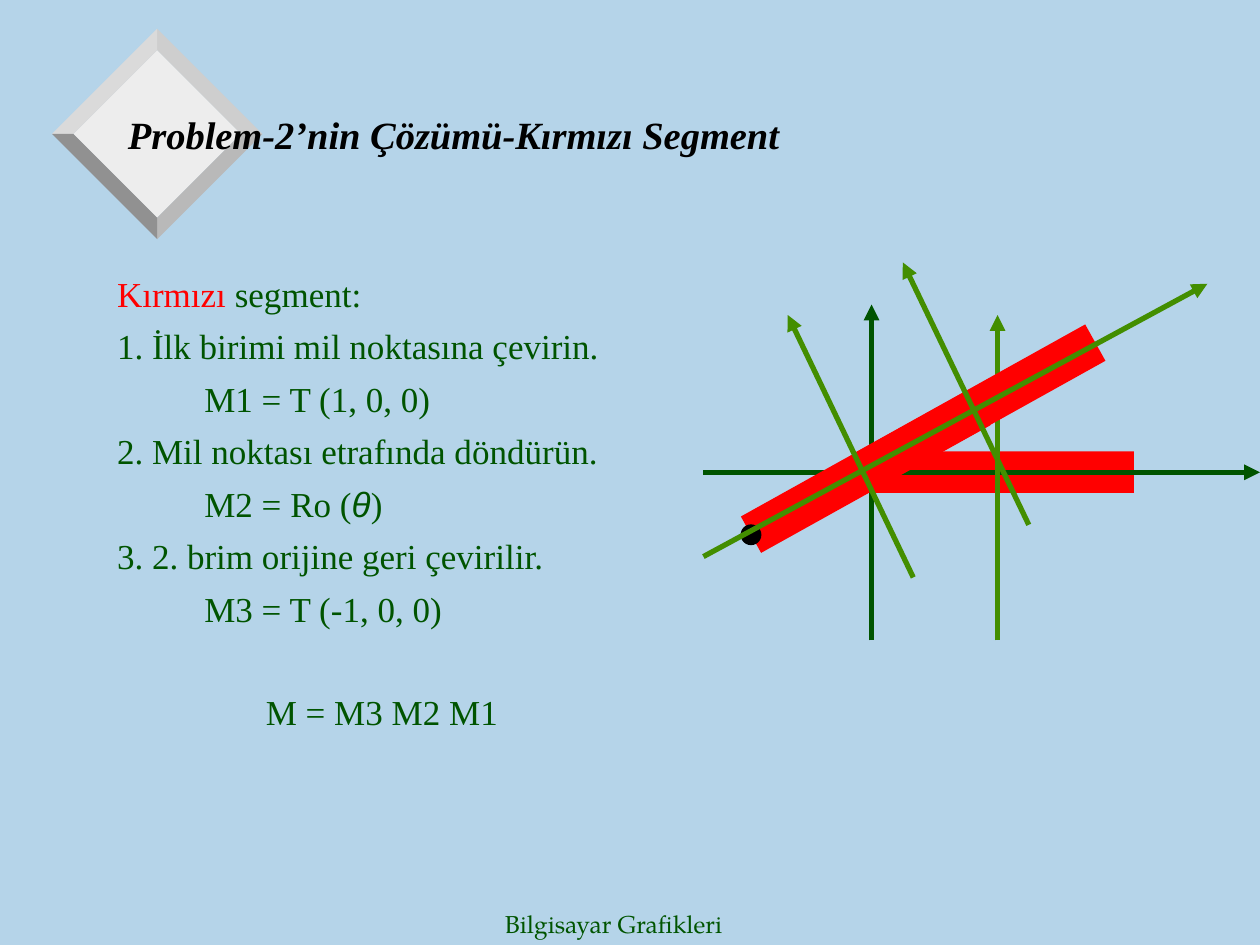
from dataclasses import dataclass
from math import cos, radians, sin
from typing import Optional

from lxml.etree import SubElement
from pptx import Presentation
from pptx.dml.color import RGBColor
from pptx.enum.shapes import MSO_CONNECTOR, MSO_SHAPE
from pptx.enum.text import MSO_ANCHOR
from pptx.oxml.ns import qn
from pptx.util import Cm, Pt

COLORS = {
    "background": "B5D4E9",
    "text": "005400",
    "title": "000000",
    "red": "FF0000",
    "dark_axis": "005400",
    "light_axis": "438E00",
    "black": "000000",
    "face": "EDEDED",
    "upper_right": "CECECE",
    "upper_left": "DADADA",
    "lower_right": "B9B9B9",
    "lower_left": "919191",
}
SERIF = "Times New Roman"


@dataclass
class Segment:
    hinge: tuple[float, float]
    angle: float
    pin_fill: str
    pin_line: Optional[str] = "black"


@dataclass
class Axis:
    start: tuple[float, float]
    end: tuple[float, float]
    color: str


@dataclass
class Span:
    text: str
    color: str = "text"
    font: str = SERIF
    size: float = 20
    bold: bool = False
    italic: bool = False


@dataclass
class Line:
    spans: list[Span]
    indent: float = 0
    space_before: float = 6


SEGMENT_LENGTH, SEGMENT_WIDTH, PIN_SIZE = 5.29, 0.84, 0.42
DIAMOND_CENTER, DIAMOND_OUTER, DIAMOND_INNER = (3.17, 2.7), 2.12, 1.69
STEP_INDENT, RESULT_INDENT = 1.76, 3.0

FLAT_SEGMENT = Segment((17.57, 9.52), 0, "light_axis")
TURNED_SEGMENTS = [
    Segment((17.46, 9.48), -29.1, "light_axis"),
    Segment((15.14, 10.78), -29.1, "black", None),
]
STRAIGHT_AXES = [
    Axis((14.18, 9.52), (25.4, 9.52), "dark_axis"),
    Axis((17.57, 12.91), (17.57, 6.14), "dark_axis"),
    Axis((20.11, 12.91), (20.11, 6.35), "light_axis"),
]
TURNED_AXES = [
    Axis((18.41, 11.64), (15.88, 6.35), "light_axis"),
    Axis((14.18, 11.22), (24.34, 5.72), "light_axis"),
    Axis((20.74, 10.58), (18.2, 5.29), "light_axis"),
]

TITLE = [Line([Span("Problem-2’nin Çözümü-Kırmızı Segment", "title",
                    size=22, bold=True, italic=True)])]
FOOTER = [Line([Span("Bilgisayar Grafikleri", font="TeX Gyre Pagella", size=14)])]
BODY = [
    Line([Span("Kırmızı", "red"), Span(" segment:")]),
    Line([Span("1. İlk birimi mil noktasına çevirin.")]),
    Line([Span("M1 = T (1, 0, 0)")], STEP_INDENT),
    Line([Span("2. Mil noktası etrafında döndürün.")]),
    Line([Span("M2 = Ro ("), Span("θ", font="Arial", italic=True), Span(")")], STEP_INDENT),
    Line([Span("3. 2. brim orijine geri çevirilir.")]),
    Line([Span("M3 = T (-1, 0, 0)")], STEP_INDENT),
    Line([Span("M = M3 M2 M1")], RESULT_INDENT, space_before=35),
]


def rgb(name: str) -> RGBColor:
    return RGBColor.from_string(COLORS[name])


def paint(shape, fill: str, line: Optional[str] = None) -> None:
    shape.shadow.inherit = False
    shape.fill.solid()
    shape.fill.fore_color.rgb = rgb(fill)
    if line:
        shape.line.color.rgb = rgb(line)
        shape.line.width = Pt(0.75)
    else:
        shape.line.fill.background()


def add_polygon(slide, points: list[tuple[float, float]], fill: str) -> None:
    corners = [(Cm(x), Cm(y)) for x, y in points]
    builder = slide.shapes.build_freeform(*corners[0])
    builder.add_line_segments(corners[1:], close=True)
    paint(builder.convert_to_shape(), fill)


def add_bevelled_diamond(slide) -> None:
    center_x, center_y = DIAMOND_CENTER

    def corner(direction: tuple[int, int], radius: float) -> tuple[float, float]:
        return center_x + direction[0] * radius, center_y + direction[1] * radius

    top, right, bottom, left = (0, -1), (1, 0), (0, 1), (-1, 0)
    add_polygon(slide, [corner(d, DIAMOND_INNER) for d in (top, right, bottom, left)], "face")
    bevels = [
        (top, right, "upper_right"),
        (left, top, "upper_left"),
        (right, bottom, "lower_right"),
        (bottom, left, "lower_left"),
    ]
    for first, second, fill in bevels:
        add_polygon(slide, [corner(first, DIAMOND_INNER), corner(first, DIAMOND_OUTER),
                            corner(second, DIAMOND_OUTER), corner(second, DIAMOND_INNER)], fill)


def add_centered(slide, kind, center: tuple[float, float], width: float, height: float,
                 angle: float):
    x, y = center
    shape = slide.shapes.add_shape(kind, Cm(x - width / 2), Cm(y - height / 2),
                                   Cm(width), Cm(height))
    shape.rotation = angle
    return shape


def add_segment(slide, segment: Segment) -> None:
    """Draw a bar that starts at its hinge, with the pin on the hinge."""
    x, y = segment.hinge
    turn = radians(segment.angle)
    middle = (x + cos(turn) * SEGMENT_LENGTH / 2, y + sin(turn) * SEGMENT_LENGTH / 2)
    bar = add_centered(slide, MSO_SHAPE.RECTANGLE, middle,
                       SEGMENT_LENGTH, SEGMENT_WIDTH, segment.angle)
    paint(bar, "red")
    pin = add_centered(slide, MSO_SHAPE.OVAL, segment.hinge, PIN_SIZE, PIN_SIZE, segment.angle)
    paint(pin, segment.pin_fill, segment.pin_line)


def add_axis(slide, axis: Axis) -> None:
    connector = slide.shapes.add_connector(
        MSO_CONNECTOR.STRAIGHT, *(Cm(value) for value in axis.start + axis.end))
    connector.line.color.rgb = rgb(axis.color)
    connector.line.width = Pt(3)
    properties = connector._element.spPr
    SubElement(properties.find(qn("a:ln")), qn("a:tailEnd"), type="triangle")
    SubElement(properties, qn("a:effectLst"))


def add_text(slide, left: float, top: float, width: float, height: float, lines: list[Line],
             anchor=MSO_ANCHOR.TOP, wrap: bool = True) -> None:
    box = slide.shapes.add_textbox(Cm(left), Cm(top), Cm(width), Cm(height))
    frame = box.text_frame
    frame.word_wrap = wrap
    frame.vertical_anchor = anchor
    for index, line in enumerate(lines):
        paragraph = frame.add_paragraph() if index else frame.paragraphs[0]
        if index:
            paragraph.space_before = Pt(line.space_before)
        if line.indent:
            paragraph._p.get_or_add_pPr().set("marL", str(Cm(line.indent)))
        for span in line.spans:
            run = paragraph.add_run()
            run.text = span.text
            run.font.name = span.font
            run.font.size = Pt(span.size)
            run.font.bold = span.bold
            run.font.italic = span.italic
            run.font.color.rgb = rgb(span.color)


def main() -> None:
    presentation = Presentation()
    presentation.slide_width, presentation.slide_height = Cm(25.4), Cm(19.05)
    slide = presentation.slides.add_slide(presentation.slide_layouts[6])
    slide.background.fill.solid()
    slide.background.fill.fore_color.rgb = rgb("background")

    add_bevelled_diamond(slide)
    add_text(slide, 9.93, 18.21, 5.28, 0.84, FOOTER, MSO_ANCHOR.MIDDLE, wrap=False)
    add_text(slide, 2.33, 1.17, 21.59, 3.07, TITLE, MSO_ANCHOR.MIDDLE)
    add_text(slide, 2.11, 5.36, 11.63, 11.1, BODY)

    add_segment(slide, FLAT_SEGMENT)
    for axis in STRAIGHT_AXES:
        add_axis(slide, axis)
    for segment in TURNED_SEGMENTS:
        add_segment(slide, segment)
    for axis in TURNED_AXES:
        add_axis(slide, axis)

    presentation.save("out.pptx")


if __name__ == "__main__":
    main()
